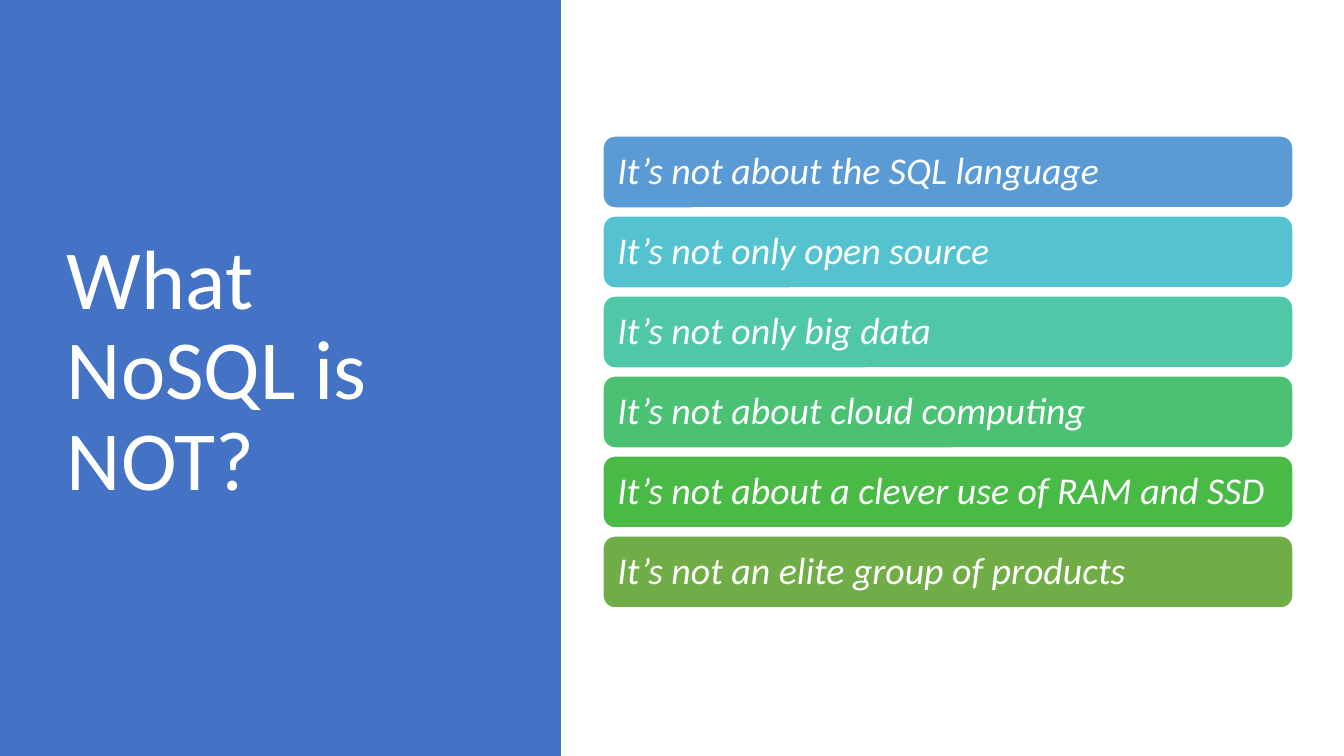
from pptx import Presentation
from pptx import util as u
from pptx.dml.color import RGBColor
from pptx.enum import shapes, text

BARS = [
    ("It’s not about the SQL language", "5B9BD5"),
    ("It’s not only open source", "55C3CF"),
    ("It’s not only big data", "50C8A7"),
    ("It’s not about cloud computing", "4BC174"),
    ("It’s not about a clever use of RAM and SSD", "4ABA46"),
    ("It’s not an elite group of products", "70AD47"),
]
BAR_TOP, BAR_PITCH = 136, 80


def px(n):
    return u.Emu(round(n * 914400 / 100.8))


def rgb(value):
    return RGBColor.from_string(value)


class Deck:
    """Holds the style and the current slide, and draws its elements."""

    font = "Calibri"
    ink = "FFFFFF"

    def __init__(self, width, height):
        self.prs = Presentation()
        self.prs.slide_width, self.prs.slide_height = px(width), px(height)
        self.s = self.prs.slides.add_slide(self.prs.slide_layouts[6])

    def label(self, sp, words, size, italic=False, inset=(10, 5)):
        tf = sp.text_frame
        tf.text = words
        tf.word_wrap = True
        tf.vertical_anchor = text.MSO_ANCHOR.MIDDLE
        tf.margin_left = tf.margin_right = px(inset[0])
        tf.margin_top = tf.margin_bottom = px(inset[1])
        p = tf.paragraphs[0]
        p.alignment = text.PP_ALIGN.LEFT
        p.line_spacing = 0.9
        r = p.runs[0]
        r.font.name = self.font
        r.font.size = u.Pt(size)
        r.font.italic = italic
        r.font.color.rgb = rgb(self.ink)

    def shape(self, kind, x, y, w, h, fill):
        sp = self.s.shapes.add_shape(kind, px(x), px(y), px(w), px(h))
        sp.shadow.inherit = False
        sp.fill.solid()
        sp.fill.fore_color.rgb = rgb(fill)
        return sp

    def panel(self, x, y, w, h, fill):
        sp = self.shape(shapes.MSO_SHAPE.RECTANGLE, x, y, w, h, fill)
        sp.line.fill.background()

    def title(self, x, y, w, h, words):
        sp = self.s.shapes.add_textbox(px(x), px(y), px(w), px(h))
        self.label(sp, words, 60)

    def bar(self, x, y, w, h, words, fill):
        sp = self.shape(shapes.MSO_SHAPE.ROUNDED_RECTANGLE, x, y, w, h, fill)
        sp.line.color.rgb = rgb(self.ink)
        sp.line.width = u.Pt(1)
        self.label(sp, words, 27, italic=True, inset=(11, 11))


def main():
    deck = Deck(1344, 756)
    deck.panel(0, 0, 561, 756, "4472C4")
    deck.title(57, 69, 419, 607, "What NoSQL is NOT?")
    for i, (words, fill) in enumerate(BARS):
        deck.bar(603, BAR_TOP + i * BAR_PITCH, 690, 72, words, fill)
    deck.prs.save("out.pptx")


if __name__ == "__main__":
    main()
